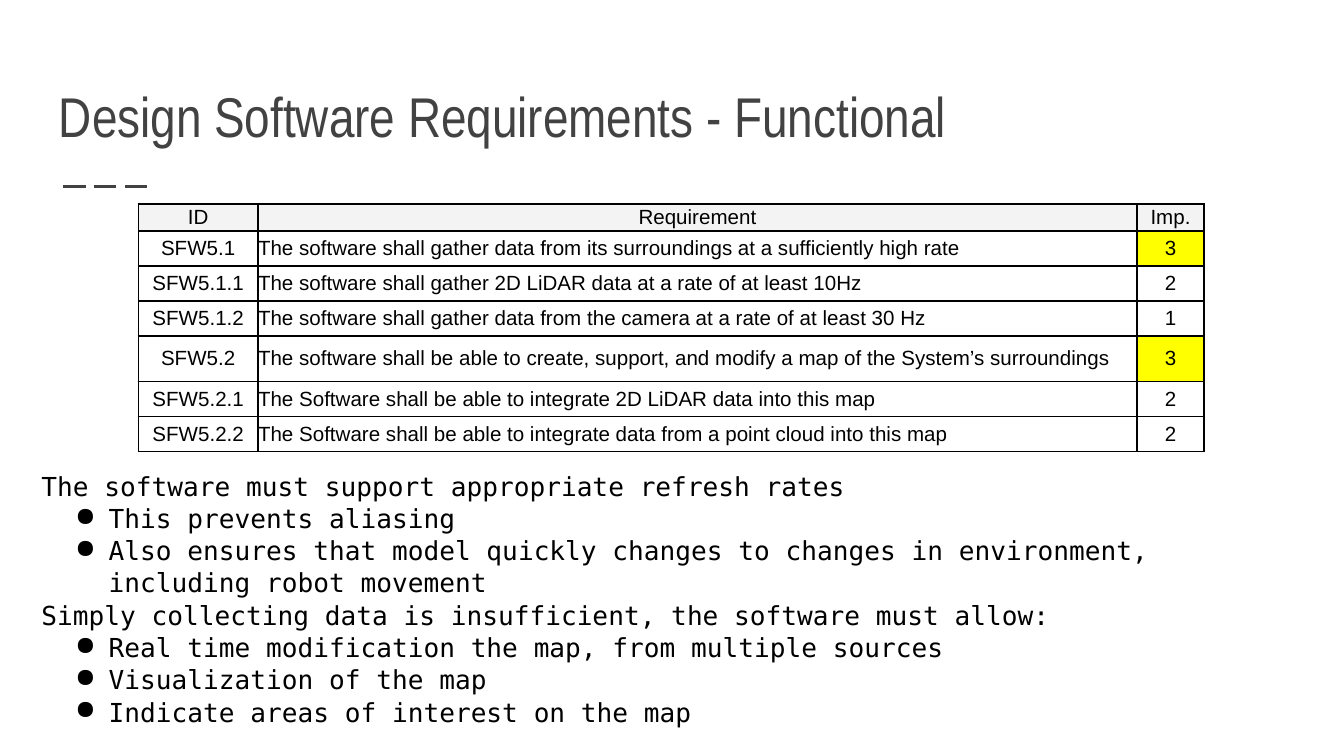
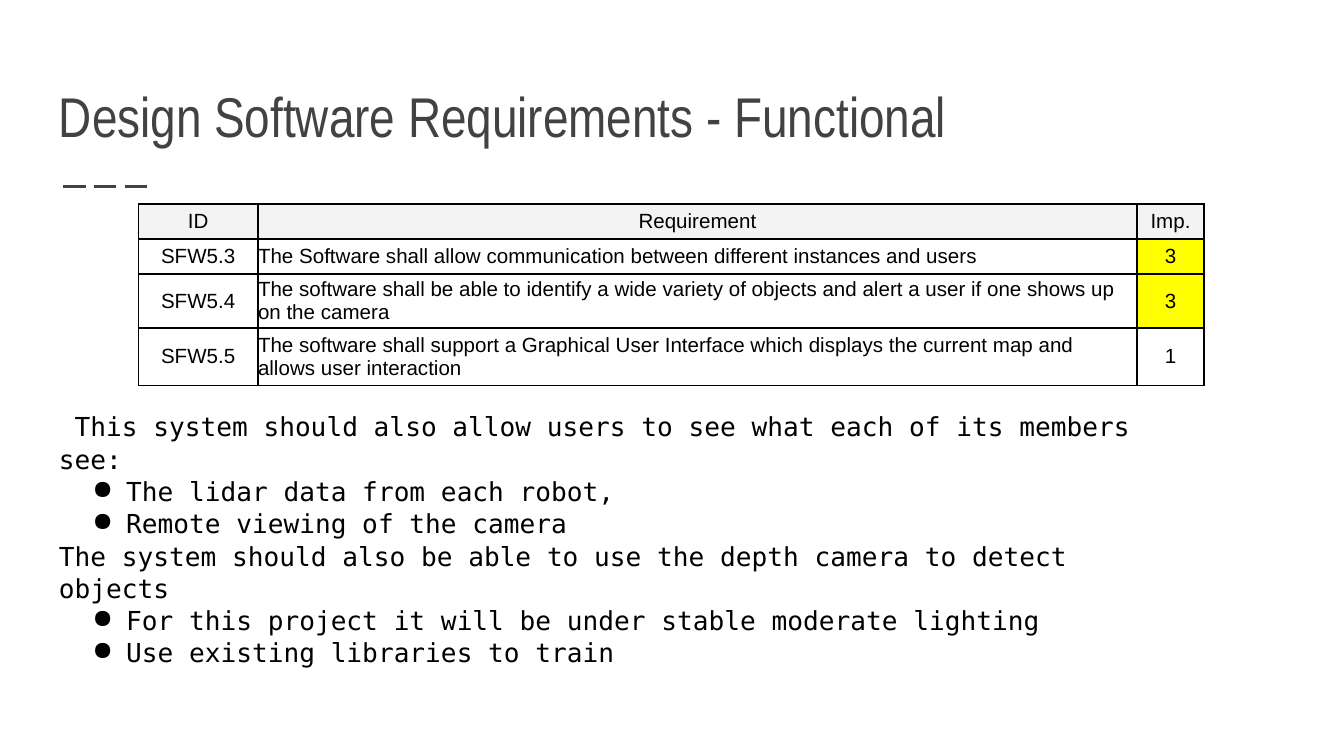
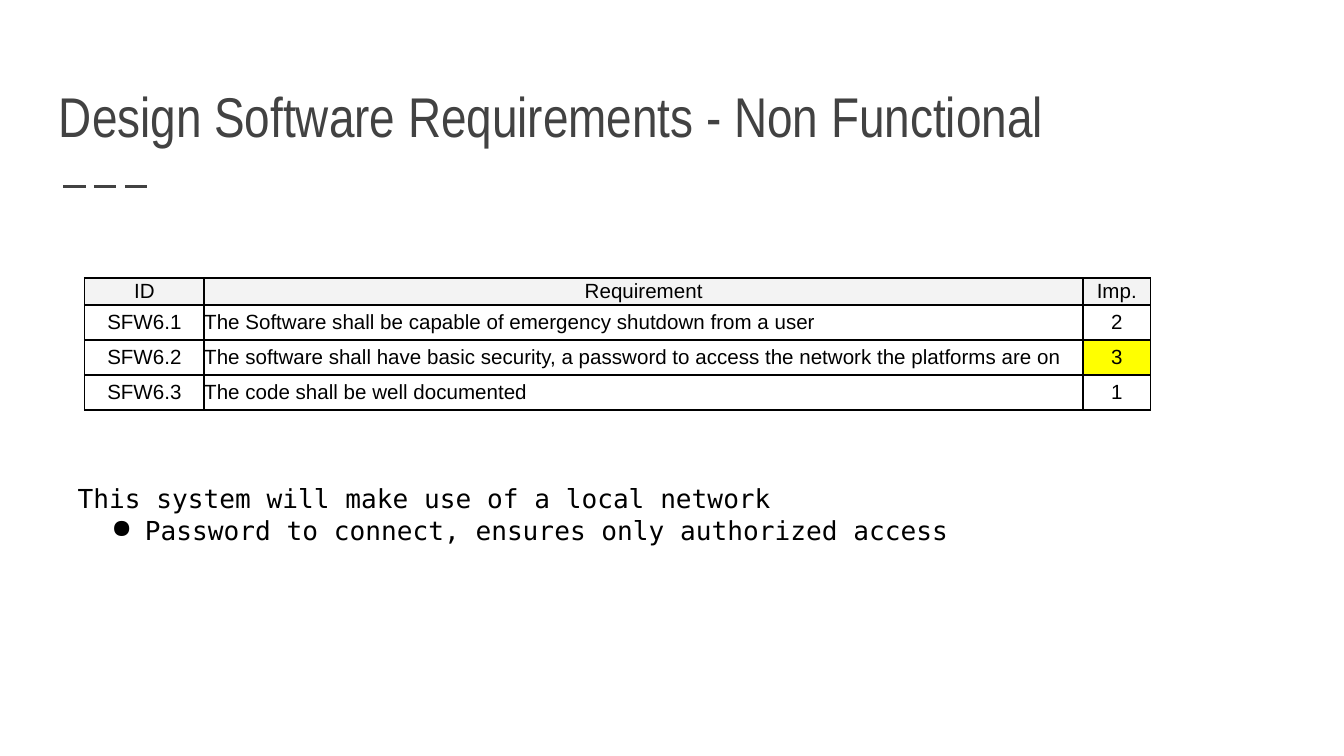
from dataclasses import dataclass

from lxml.etree import SubElement as Sub
from pptx import Presentation
from pptx.dml.color import RGBColor
from pptx.enum.dml import MSO_LINE as Dash
from pptx.enum.shapes import MSO_CONNECTOR as Link
from pptx.enum.text import MSO_ANCHOR as Anchor, PP_ALIGN as Align
from pptx.oxml.ns import qn
from pptx.slide import Slide
from pptx.table import _Cell as Cell
from pptx.text.text import TextFrame, _Paragraph as Para
from pptx.util import Emu, Inches, Pt

BLACK = RGBColor(0x00, 0x00, 0x00)
SLATE = RGBColor(0x42, 0x42, 0x42)
PALE = RGBColor(0xF3, 0xF3, 0xF3)
YELLOW = RGBColor(0xFF, 0xFF, 0x00)

WIDE = Inches(10)
HIGH = WIDE * 9 // 16
UNIT = WIDE // 100
PAD = 1
COLS = (8.9, 6.54 * 10, 5)
HEADS = ("ID", "Requirement", "Imp.")
URGENT = "3"
STEP = 5
HANG = -2.5


@dataclass(frozen=True)
class Font:
    name: str
    size: int
    tint: RGBColor


TITLE = Font("Arial Narrow", 30, SLATE)
GRID = Font("Arial", 11, BLACK)
NOTE = Font("DejaVu Sans Mono", 14, BLACK)


@dataclass(frozen=True)
class Box:
    left: float
    top: float
    width: float
    height: float


@dataclass(frozen=True)
class Need:
    code: str
    text: str
    rank: str
    height: float = 2.6


@dataclass(frozen=True)
class Line:
    text: str
    point: bool = True
    inset: float = 0


@dataclass(frozen=True)
class Page:
    title: str
    left: float
    top: float
    head: float
    needs: tuple[Need, ...]
    box: Box
    lines: tuple[Line, ...]


PAGES = (
    Page(
        "Design Software Requirements - Functional", 10.3, 15.2, 2,
        (
            Need("SFW5.1", "The software shall gather data from its surroundings at a sufficiently high rate", "3"),
            Need("SFW5.1.1", "The software shall gather 2D LiDAR data at a rate of at least 10Hz", "2"),
            Need("SFW5.1.2", "The software shall gather data from the camera at a rate of at least 30 Hz", "1"),
            Need("SFW5.2", "The software shall be able to create, support, and modify a map of the System’s surroundings", "3", 3.4),
            Need("SFW5.2.1", "The Software shall be able to integrate 2D LiDAR data into this map", "2"),
            Need("SFW5.2.2", "The Software shall be able to integrate data from a point cloud into this map", "2"),
        ),
        Box(2.1, 33.9, 93.2, 18.9),
        (
            Line("The software must support appropriate refresh rates", False),
            Line("This prevents aliasing"),
            Line("Also ensures that model quickly changes to changes in environment, including robot movement"),
            Line("Simply collecting data is insufficient, the software must allow:", False),
            Line("Real time modification the map, from multiple sources"),
            Line("Visualization of the map"),
            Line("Indicate areas of interest on the map"),
        ),
    ),
    Page(
        "Design Software Requirements - Functional", 10.3, 15.2, 2.6,
        (
            Need("SFW5.3", "The Software shall allow communication between different instances and users", "3"),
            Need("SFW5.4", "The software shall be able to identify a wide variety of objects and alert a user if one shows up on the camera", "3", 4),
            Need("SFW5.5", "The software shall support a Graphical User Interface which displays the current map and allows user interaction", "1", 4.3),
        ),
        Box(3.4, 29.5, 86.3, 21.5),
        (
            Line("This system should also allow users to see what each of its members see:", False, 1.17),
            Line("The lidar data from each robot,"),
            Line("Remote viewing of the camera"),
            Line("The system should also be able to use the depth camera to detect objects", False),
            Line("For this project it will be under stable moderate lighting"),
            Line("Use existing libraries to train"),
        ),
    ),
    Page(
        "Design Software Requirements - Non Functional", 6.3, 20.7, 2,
        (
            Need("SFW6.1", "The Software shall be capable of emergency shutdown from a user", "2"),
            Need("SFW6.2", "The software shall have basic security, a password to access the network the platforms are on", "3"),
            Need("SFW6.3", "The code shall be well documented", "1"),
        ),
        Box(4.8, 34.8, 82.3, 14.7),
        (
            Line("This system will make use of a local network", False),
            Line("Password to connect, ensures only authorized access"),
        ),
    ),
)


def span(count: float) -> Emu:
    return Emu(round(count * UNIT))


def write(para: Para, text: str, font: Font) -> None:
    run = para.add_run()
    run.text = text
    run.font.name = font.name
    run.font.size = Pt(font.size)
    run.font.color.rgb = font.tint


def frame(slide: Slide, box: Box, anchor: Anchor) -> TextFrame:
    shape = slide.shapes.add_textbox(
        span(box.left), span(box.top), span(box.width), span(box.height))
    body = shape.text_frame
    body.word_wrap = True
    body.vertical_anchor = anchor
    body.margin_left = body.margin_right = span(PAD)
    body.margin_top = body.margin_bottom = span(PAD)
    return body


def head(slide: Slide, title: str) -> None:
    rule = slide.shapes.add_connector(
        Link.STRAIGHT, span(4.7), span(13.9), span(11.4), span(13.9))
    rule.line.color.rgb = SLATE
    rule.line.width = Pt(1.5)
    rule.line.dash_style = Dash.LONG_DASH
    Sub(rule._element.spPr, qn("a:effectLst"))
    body = frame(slide, Box(3.4, 4.1, 93.2, 8), Anchor.BOTTOM)
    write(body.paragraphs[0], title, TITLE)


def edge(cell: Cell) -> None:
    props = cell._tc.get_or_add_tcPr()
    for side in ("L", "R", "T", "B"):
        line = Sub(props, qn(f"a:ln{side}"), w=str(Pt(1)))
        fill = Sub(line, qn("a:solidFill"))
        Sub(fill, qn("a:srgbClr"), val=str(BLACK))


def fill(cell: Cell, text: str, tint: RGBColor | None, align: Align) -> None:
    cell.margin_left = cell.margin_right = 0
    cell.margin_top = cell.margin_bottom = 0
    cell.vertical_anchor = Anchor.MIDDLE
    edge(cell)
    if tint is None:
        cell.fill.background()
    else:
        cell.fill.solid()
        cell.fill.fore_color.rgb = tint
    para = cell.text_frame.paragraphs[0]
    para.alignment = align
    write(para, text, GRID)


def chart(slide: Slide, page: Page) -> None:
    highs = (page.head, *(need.height for need in page.needs))
    table = slide.shapes.add_table(
        len(highs), len(COLS), span(page.left), span(page.top),
        span(sum(COLS)), span(sum(highs))).table
    table.first_row = table.horz_banding = False
    for col, width in zip(table.columns, COLS):
        col.width = span(width)
    for row, high in zip(table.rows, highs):
        row.height = span(high)
    for cell, text in zip(table.rows[0].cells, HEADS):
        fill(cell, text, PALE, Align.CENTER)
    for index, need in enumerate(page.needs, 1):
        code, text, rank = table.rows[index].cells
        fill(code, need.code, None, Align.CENTER)
        fill(text, need.text, None, Align.LEFT)
        fill(rank, need.rank, YELLOW if need.rank == URGENT else None, Align.CENTER)


def notes(slide: Slide, page: Page) -> None:
    body = frame(slide, page.box, Anchor.TOP)
    for index, line in enumerate(page.lines):
        para = body.add_paragraph() if index else body.paragraphs[0]
        para.line_spacing = 1.03
        props = para._p.get_or_add_pPr()
        props.set("marL", str(span(STEP if line.point else 0)))
        props.set("indent", str(span(HANG if line.point else line.inset)))
        if line.point:
            Sub(props, qn("a:buChar"), char="●")
        else:
            Sub(props, qn("a:buNone"))
        write(para, line.text, NOTE)


def main() -> None:
    deck = Presentation()
    deck.slide_width = WIDE
    deck.slide_height = HIGH
    for page in PAGES:
        slide = deck.slides.add_slide(deck.slide_layouts[6])
        head(slide, page.title)
        chart(slide, page)
        notes(slide, page)
    deck.save("out.pptx")


if __name__ == "__main__":
    main()
